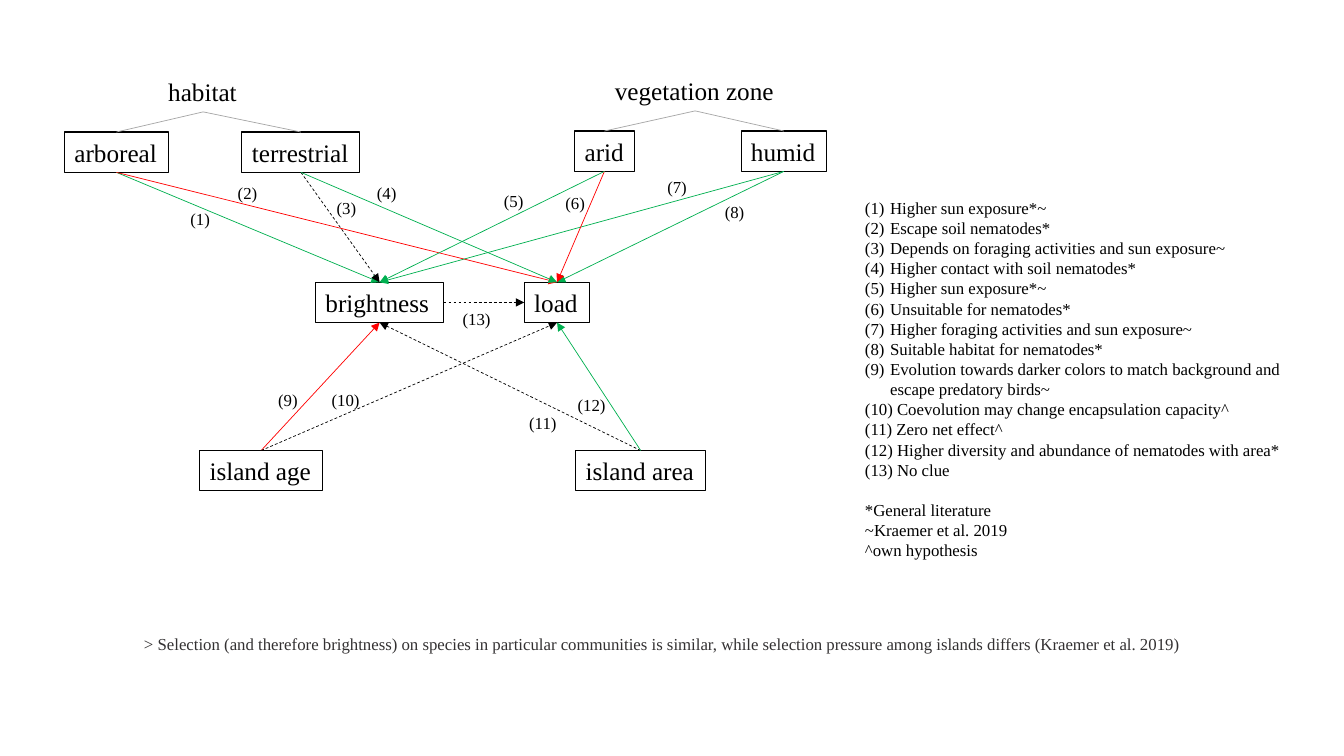
"""Builds the path diagram of habitat, island and vegetation effects on brightness and load."""
from dataclasses import dataclass

import pptx
import pptx.dml.color
import pptx.enum.dml
import pptx.enum.shapes
import pptx.enum.text
import pptx.oxml
import pptx.oxml.ns
import pptx.shapes.autoshape
import pptx.shapes.base
import pptx.slide
import pptx.util
from pptx.util import Inches

TOP, LEFT, BOTTOM, RIGHT = range(4)


@dataclass(frozen=True)
class Theme:
    font: str = "Times New Roman"
    ink: str = "000000"
    note_ink: str = "333132"
    positive: str = "00B050"
    negative: str = "FF0000"
    bracket: str = "A6A6A6"
    node_size: float = 18
    note_size: float = 12
    note_pitch: float = 14.4
    border: float = 0.75
    arrow: float = 0.5
    node_height: float = 0.4
    note_height: float = 0.3


@dataclass(frozen=True)
class Node:
    text: str
    left: float
    top: float
    width: float
    boxed: bool = True


@dataclass(frozen=True)
class Link:
    source: str
    target: str
    color: str
    dashed: bool = False
    sides: tuple[int, int] = (BOTTOM, TOP)
    arrow: bool = True


@dataclass(frozen=True)
class Label:
    number: int
    left: float
    top: float


THEME = Theme()

NODES = [
    Node("brightness", 3.13, 2.8, 1.27),
    Node("load", 5.2, 2.8, 0.65),
    Node("arboreal", 0.64, 1.31, 1.03),
    Node("terrestrial", 2.4, 1.31, 1.17),
    Node("arid", 5.7, 1.3, 0.59),
    Node("humid", 7.35, 1.3, 0.85),
    Node("island age", 1.98, 4.47, 1.22),
    Node("island area", 5.71, 4.47, 1.29),
    Node("habitat", 1.57, 0.71, 0.89, boxed=False),
    Node("vegetation zone", 6, 0.7, 1.79, boxed=False),
]

UPWARD = (TOP, BOTTOM)
LINKS = [
    Link("arboreal", "brightness", THEME.positive),
    Link("arboreal", "load", THEME.negative),
    Link("humid", "brightness", THEME.positive),
    Link("humid", "load", THEME.positive),
    Link("island age", "brightness", THEME.negative, sides=UPWARD),
    Link("island age", "load", THEME.ink, dashed=True, sides=UPWARD),
    Link("island area", "brightness", THEME.ink, dashed=True, sides=UPWARD),
    Link("island area", "load", THEME.positive, sides=UPWARD),
    Link("arid", "load", THEME.negative),
    Link("arid", "brightness", THEME.positive),
    Link("terrestrial", "brightness", THEME.ink, dashed=True),
    Link("terrestrial", "load", THEME.positive),
    Link("brightness", "load", THEME.ink, dashed=True, sides=(RIGHT, LEFT)),
    Link("habitat", "arboreal", THEME.bracket, arrow=False),
    Link("habitat", "terrestrial", THEME.bracket, arrow=False),
    Link("vegetation zone", "arid", THEME.bracket, arrow=False),
    Link("vegetation zone", "humid", THEME.bracket, arrow=False),
]

LABELS = [
    Label(1, 1.79, 2.02), Label(2, 2.26, 1.76), Label(3, 3.24, 1.91),
    Label(4, 3.64, 1.76), Label(5, 4.9, 1.84), Label(6, 5.51, 1.86),
    Label(7, 6.52, 1.7), Label(8, 7.09, 1.95), Label(9, 2.66, 3.82),
    Label(10, 3.19, 3.82), Label(11, 5.15, 4.05), Label(12, 5.63, 3.87),
    Label(13, 4.49, 3.01),
]

REASONS = [
    "Higher sun exposure*~",
    "Escape soil nematodes*",
    "Depends on foraging activities and sun exposure~",
    "Higher contact with soil nematodes*",
    "Higher sun exposure*~",
    "Unsuitable for nematodes*",
    "Higher foraging activities and sun exposure~",
    "Suitable habitat for nematodes*",
    "Evolution towards darker colors to match background and escape predatory birds~",
    " Coevolution may change encapsulation capacity^",
    " Zero net effect^",
    " Higher diversity and abundance of nematodes with area*",
    " No clue",
]
SOURCES = ["*General literature", "~Kraemer et al. 2019", "^own hypothesis"]
CONCLUSION = (
    "> Selection (and therefore brightness) on species in particular communities is similar, "
    "while selection pressure among islands differs (Kraemer et al. 2019)"
)


def rgb(value: str) -> pptx.dml.color.RGBColor:
    return pptx.dml.color.RGBColor.from_string(value)


def write(shape: pptx.shapes.autoshape.Shape, text: str, *, size: float = THEME.note_size,
          color: str = THEME.ink, wrap: bool = False) -> None:
    frame = shape.text_frame
    frame.text = text
    frame.word_wrap = wrap
    frame.auto_size = pptx.enum.text.MSO_AUTO_SIZE.SHAPE_TO_FIT_TEXT
    frame.vertical_anchor = pptx.enum.text.MSO_ANCHOR.TOP
    for paragraph in frame.paragraphs:
        paragraph.alignment = pptx.enum.text.PP_ALIGN.LEFT
        paragraph.font.name = THEME.font
        paragraph.font.size = pptx.util.Pt(size)
        paragraph.font.color.rgb = rgb(color)


def add_node(slide: pptx.slide.Slide, node: Node) -> pptx.shapes.autoshape.Shape:
    area = [Inches(value) for value in (node.left, node.top, node.width, THEME.node_height)]
    if node.boxed:
        shape = slide.shapes.add_shape(pptx.enum.shapes.MSO_SHAPE.RECTANGLE, *area)
        shape.shadow.inherit = False
        shape.fill.background()
        shape.line.color.rgb = rgb(THEME.ink)
        shape.line.width = pptx.util.Pt(THEME.border)
    else:
        shape = slide.shapes.add_textbox(*area)
    write(shape, node.text, size=THEME.node_size)
    return shape


def add_link(slide: pptx.slide.Slide, link: Link,
             nodes: dict[str, pptx.shapes.base.BaseShape]) -> None:
    connector = slide.shapes.add_connector(pptx.enum.shapes.MSO_CONNECTOR.STRAIGHT, 0, 0, 0, 0)
    connector.begin_connect(nodes[link.source], link.sides[0])
    connector.end_connect(nodes[link.target], link.sides[1])
    connector.line.color.rgb = rgb(link.color)
    connector.line.width = pptx.util.Pt(THEME.arrow)
    if link.dashed:
        connector.line.dash_style = pptx.enum.dml.MSO_LINE.DASH
    properties = connector.element.spPr
    if link.arrow:
        outline = properties.find(pptx.oxml.ns.qn("a:ln"))
        outline.append(pptx.oxml.parse_xml(
            f'<a:tailEnd {pptx.oxml.ns.nsdecls("a")} type="triangle"/>'))
    properties.append(pptx.oxml.parse_xml(f'<a:effectLst {pptx.oxml.ns.nsdecls("a")}/>'))


def add_note(slide: pptx.slide.Slide, text: str, left: float, top: float, width: float,
             height: float = THEME.note_height, **style) -> pptx.shapes.autoshape.Shape:
    note = slide.shapes.add_textbox(Inches(left), Inches(top), Inches(width), Inches(height))
    write(note, text, **style)
    return note


def add_legend(slide: pptx.slide.Slide) -> None:
    legend = add_note(slide, "\n".join(REASONS + SOURCES), 8.48, 1.91, 4.62, 3.74, wrap=True)
    paragraphs = legend.text_frame.paragraphs
    for paragraph in paragraphs:
        paragraph.line_spacing = pptx.util.Pt(THEME.note_pitch)
    paragraphs[len(REASONS)].space_before = pptx.util.Pt(THEME.note_pitch)
    for paragraph in paragraphs[:len(REASONS)]:
        properties = paragraph._p.get_or_add_pPr()
        properties.set("marL", str(Inches(0.25)))
        properties.set("indent", str(-Inches(0.25)))
        numbering = pptx.oxml.parse_xml(
            f'<a:buAutoNum {pptx.oxml.ns.nsdecls("a")} type="arabicParenBoth"/>')
        properties.find(pptx.oxml.ns.qn("a:defRPr")).addprevious(numbering)


def main() -> None:
    deck = pptx.Presentation()
    deck.slide_width, deck.slide_height = Inches(13.33), Inches(7.5)
    slide = deck.slides.add_slide(deck.slide_layouts[6])
    nodes = {node.text: add_node(slide, node) for node in NODES}
    for link in LINKS:
        add_link(slide, link, nodes)
    for label in LABELS:
        add_note(slide, f"({label.number})", label.left, label.top,
                 0.4 if label.number < 10 else 0.48)
    add_legend(slide)
    add_note(slide, CONCLUSION, 1.33, 6.24, 10.53, color=THEME.note_ink, wrap=True)
    deck.save("out.pptx")


if __name__ == "__main__":
    main()
